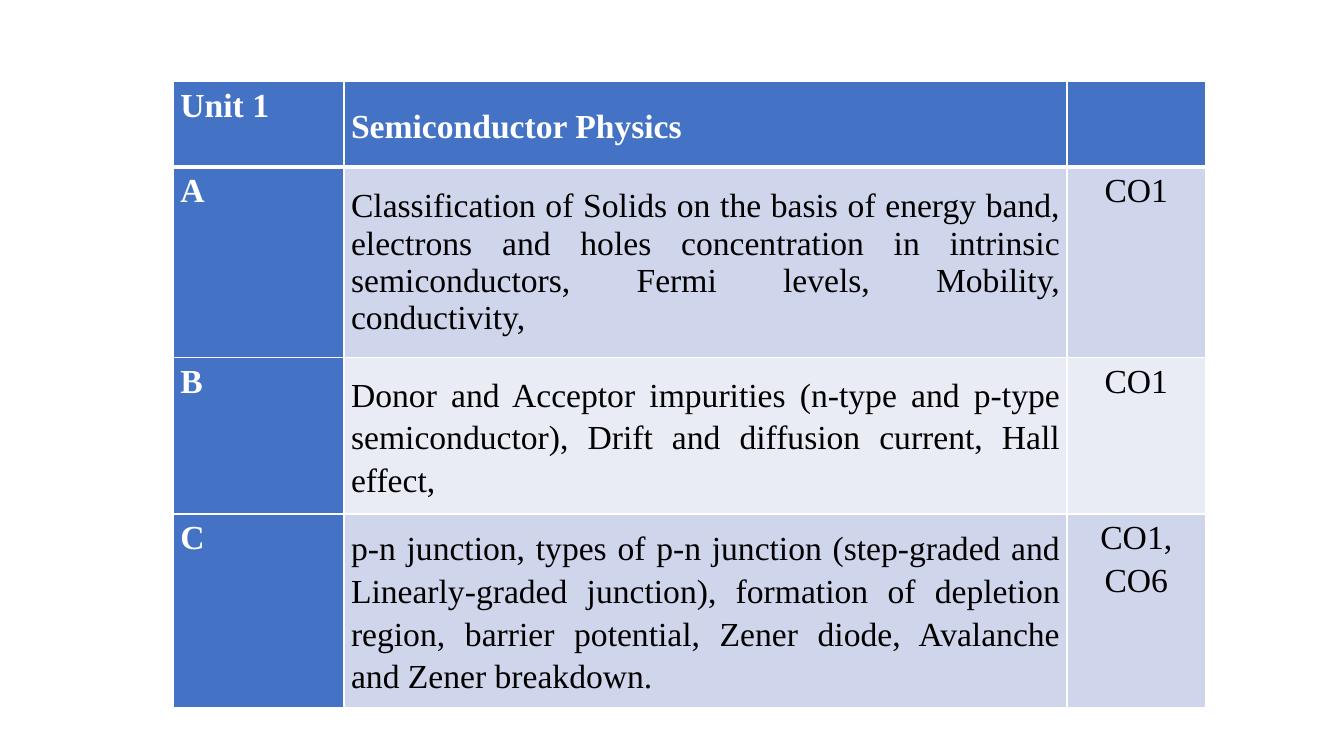
import pptx
import pptx.dml.color
import pptx.enum.text
import pptx.oxml
import pptx.oxml.ns
import pptx.util

RGBColor = pptx.dml.color.RGBColor
PP_ALIGN = pptx.enum.text.PP_ALIGN
MSO_ANCHOR = pptx.enum.text.MSO_ANCHOR

WHITE = RGBColor(0xFF, 0xFF, 0xFF)
BLACK = RGBColor(0x00, 0x00, 0x00)
BLUE = RGBColor(0x44, 0x72, 0xC4)
BAND_DARK = RGBColor(0xCF, 0xD5, 0xEA)
BAND_LIGHT = RGBColor(0xE9, 0xEB, 0xF5)

# Table geometry in percent of the slide's width and height
TABLE_LEFT, TABLE_TOP = 12.9, 10.8
COLUMNS = [12.7, 53.8, 10.3]
ROWS = [11.3, 25.2, 20.7, 25.6]

SYLLABUS = [
    ("Unit 1", "Semiconductor Physics", ""),
    ("A", "Classification of Solids on the basis of energy band, electrons and holes "
          "concentration in intrinsic semiconductors, Fermi levels, Mobility, conductivity, ", "CO1"),
    ("B", "Donor and Acceptor impurities (n-type and p-type semiconductor), "
          "Drift and diffusion current, Hall effect,", "CO1"),
    ("C", "p-n junction, types of p-n junction (step-graded and Linearly-graded junction), "
          "formation of depletion region, barrier potential, Zener diode, "
          "Avalanche and Zener breakdown.", "CO1, CO6"),
]


class Deck:
    font = "Times New Roman"
    size = pptx.util.Pt(24)
    line_spacing = 1.15
    inset = pptx.util.Inches(0.07)

    def __init__(self, width, height):
        self.prs = pptx.Presentation()
        self.prs.slide_width = pptx.util.Inches(width)
        self.prs.slide_height = pptx.util.Inches(height)
        self.s = self.prs.slides.add_slide(self.prs.slide_layouts[6])

    def x(self, percent):
        return round(self.prs.slide_width * percent / 100)

    def y(self, percent):
        return round(self.prs.slide_height * percent / 100)

    def table(self, left, top, columns, rows):
        frame = self.s.shapes.add_table(
            len(rows), len(columns), self.x(left), self.y(top),
            self.x(sum(columns)), self.y(sum(rows)))
        table = frame.table
        table.horz_banding = False
        for column, width in zip(table.columns, columns):
            column.width = self.x(width)
        for row, height in zip(table.rows, rows):
            row.height = self.y(height)
        return table

    def borders(self, cell, **widths):
        """Draw white borders; widths maps L, R, T and B to points."""
        tcPr = cell._tc.get_or_add_tcPr()
        for side, points in widths.items():
            tcPr.append(pptx.oxml.parse_xml(
                f'<a:ln{side} {pptx.oxml.ns.nsdecls("a")} w="{pptx.util.Pt(points)}">'
                f'<a:solidFill><a:srgbClr val="{WHITE}"/></a:solidFill></a:ln{side}>'))

    def cell(self, cell, text, fill, color, bold, align, anchor, spacing, after):
        cell.fill.solid()
        cell.fill.fore_color.rgb = fill
        cell.margin_left = cell.margin_right = self.inset
        cell.margin_top = cell.margin_bottom = 0
        cell.vertical_anchor = anchor
        if not text:
            return
        p = cell.text_frame.paragraphs[0]
        p.alignment = align
        p.line_spacing = spacing
        p.space_after = pptx.util.Pt(after)
        r = p.add_run()
        r.text = text
        r.font.name = self.font
        r.font.size = self.size
        r.font.bold = bold
        r.font.color.rgb = color


def main():
    deck = Deck(13.33, 7.5)
    table = deck.table(TABLE_LEFT, TABLE_TOP, COLUMNS, ROWS)
    body_aligns = [PP_ALIGN.LEFT, PP_ALIGN.JUSTIFY, PP_ALIGN.CENTER]
    for i, row in enumerate(SYLLABUS):
        for j, text in enumerate(row):
            cell = table.cell(i, j)
            header = i == 0
            heading = header or j == 0
            topic = j == 1
            compact = topic and row[0] == "A"
            band = BAND_DARK if i % 2 else BAND_LIGHT
            deck.borders(cell, L=1, R=1, T=3 if i == 1 else 1, B=3 if header else 1)
            deck.cell(
                cell, text,
                fill=BLUE if heading else band,
                color=WHITE if heading else BLACK,
                bold=heading,
                align=PP_ALIGN.LEFT if header else body_aligns[j],
                anchor=MSO_ANCHOR.MIDDLE if topic else MSO_ANCHOR.TOP,
                spacing=1.0 if compact else deck.line_spacing,
                after=10 if topic and not compact else 0)
    deck.prs.save("out.pptx")


if __name__ == "__main__":
    main()
